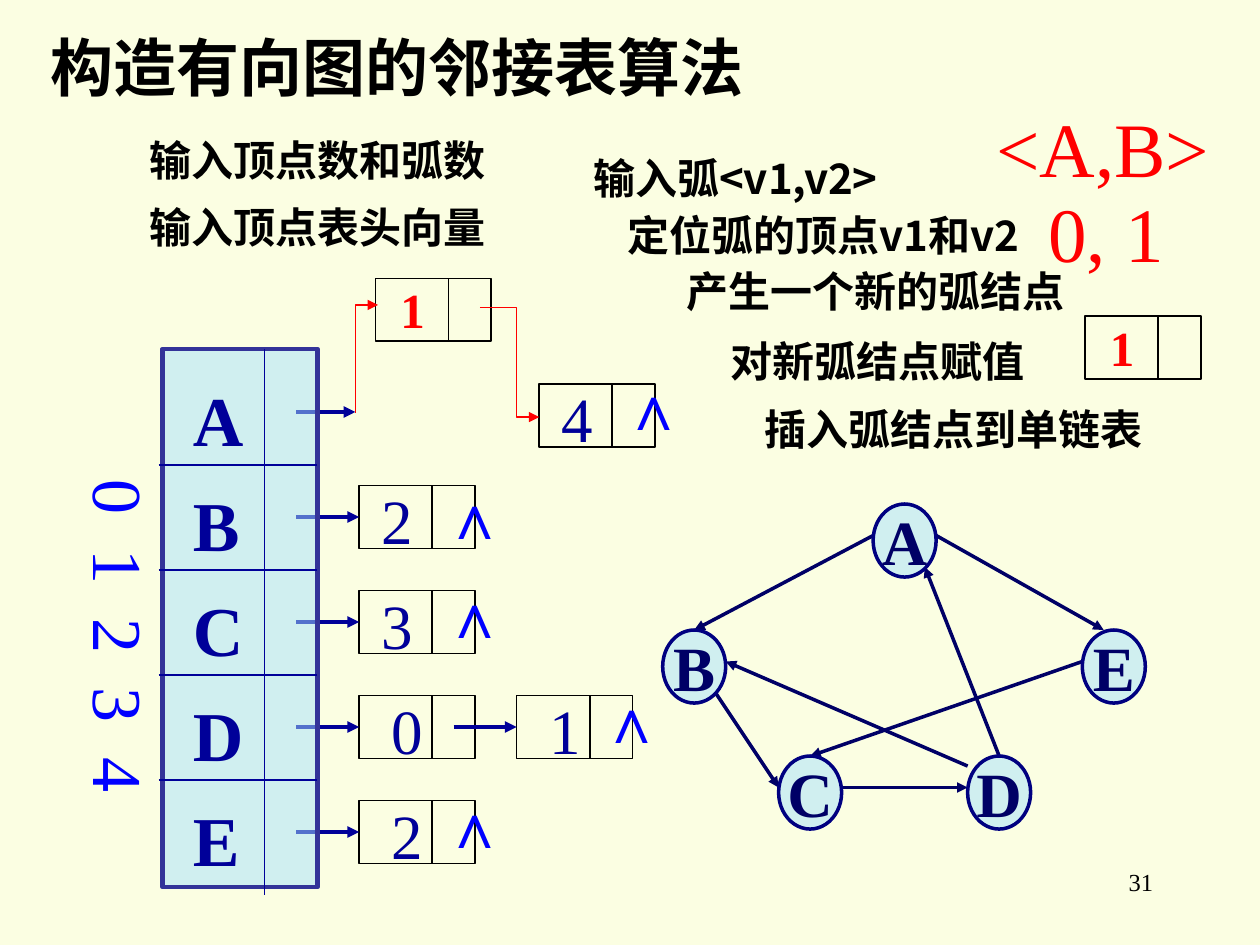
from dataclasses import dataclass

from lxml import etree
from pptx import Presentation
from pptx.dml.color import RGBColor
from pptx.enum.shapes import MSO_CONNECTOR, MSO_SHAPE
from pptx.enum.text import MSO_ANCHOR, MSO_AUTO_SIZE, PP_ALIGN
from pptx.oxml.ns import qn
from pptx.util import Inches, Pt


@dataclass(frozen=True)
class Theme:
    background: str = "FBFEE2"
    tint: str = "A7E2FF"
    black: str = "000000"
    red: str = "FF0000"
    blue: str = "0000FF"
    navy: str = "000099"
    edge: str = "000066"
    vertex_line: str = "000080"
    table_line: str = "333399"
    serif: str = "Times New Roman"
    sans: str = "Arial"
    chinese: str = "Noto Sans CJK SC"
    pair_size: int = 44
    header_size: int = 40
    large_size: int = 36
    new_node_size: int = 28
    step_size: int = 24
    page_size: int = 14


NODE_WIDTH, NODE_HEIGHT, NODE_SPLIT = 0.92, 0.5, 0.58
ROW_PITCH = 5 / 6
FIRST_ROW = 3.27  # height of the pointer that leaves the first row


class SlideBuilder:
    def __init__(self, slide, theme):
        self.slide = slide
        self.shapes = slide.shapes
        self.theme = theme
        slide.background.fill.solid()
        slide.background.fill.fore_color.rgb = RGBColor.from_string(theme.background)

    def add_text_run(self, paragraph, text, size, color, font=None, bold=False):
        run = paragraph.add_run()
        run.text = text
        run.font.size = Pt(size)
        run.font.bold = bold
        run.font.color.rgb = RGBColor.from_string(color)
        run.font.name = font or self.theme.serif
        east_asian = etree.SubElement(run.font._element, qn("a:ea"))
        east_asian.set("typeface", run.font.name)

    def text(self, left, top, width, height, text, size, color,
             font=None, bold=False, wrap=True, align=PP_ALIGN.LEFT):
        box = self.shapes.add_textbox(
            Inches(left), Inches(top), Inches(width), Inches(height))
        frame = box.text_frame
        frame.word_wrap = wrap
        frame.auto_size = MSO_AUTO_SIZE.SHAPE_TO_FIT_TEXT
        paragraph = frame.paragraphs[0]
        paragraph.alignment = align
        self.add_text_run(paragraph, text, size, color, font, bold)
        return box

    def style_line(self, shape, color, width, arrow):
        shape.line.color.rgb = RGBColor.from_string(color)
        shape.line.width = Pt(width)
        if arrow:
            tail = etree.SubElement(shape.line._get_or_add_ln(), qn("a:tailEnd"))
            tail.set("type", "triangle")

    def line(self, start, end, color, width, arrow=False):
        connector = self.shapes.add_connector(
            MSO_CONNECTOR.STRAIGHT, *[Inches(value) for value in (*start, *end)])
        self.style_line(connector, color, width, arrow)
        etree.SubElement(connector._element.spPr, qn("a:effectLst"))
        return connector

    def shape(self, kind, left, top, width, height, color, line_width, tinted=False):
        """Add an outlined shape, either empty or with a half-transparent fill."""
        shape = self.shapes.add_shape(
            kind, Inches(left), Inches(top), Inches(width), Inches(height))
        shape.shadow.inherit = False
        if tinted:
            shape.fill.solid()
            shape.fill.fore_color.rgb = RGBColor.from_string(self.theme.tint)
            tint = shape._element.spPr.find(qn("a:solidFill"))[0]
            etree.SubElement(tint, qn("a:alpha")).set("val", "50000")
        else:
            shape.fill.background()
        self.style_line(shape, color, line_width, False)
        return shape

    def list_node(self, left, top):
        """Add a box split into a value and a pointer field."""
        box = self.shape(MSO_SHAPE.RECTANGLE, left, top, NODE_WIDTH, NODE_HEIGHT,
                         self.theme.black, 1)
        split = left + NODE_SPLIT
        self.line((split, top), (split, top + NODE_HEIGHT), self.theme.black, 1)
        return box

    def value(self, left, top, text):
        self.text(left, top, 0.45, 0.7, text, self.theme.large_size,
                  self.theme.navy, wrap=False)

    def nil(self, left, top):
        self.text(left, top, 0.36, 0.7, "∧", self.theme.large_size,
                  self.theme.blue, self.theme.sans, wrap=False)

    def new_node(self, left, top):
        self.list_node(left, top)
        self.text(left + 0.1, top - 0.04, 0.68, 0.57, "1", self.theme.new_node_size,
                  self.theme.red, bold=True)

    def pointer(self, start, end, node=None):
        arrow = self.line(start, end, self.theme.navy, 2.25, arrow=True)
        if node is not None:
            arrow.end_connect(node, 1)

    def red_arrow(self, points):
        start, *rest = [(Inches(x), Inches(y)) for x, y in points]
        builder = self.shapes.build_freeform(*start)
        builder.add_line_segments(rest, close=False)
        outline = builder.convert_to_shape()
        outline.shadow.inherit = False
        outline.fill.background()
        self.style_line(outline, self.theme.red, 0.75, True)

    def vertex(self, left, top, name):
        oval = self.shape(MSO_SHAPE.OVAL, left, top, 0.5, 0.58,
                          self.theme.vertex_line, 2, tinted=True)
        frame = oval.text_frame
        frame.word_wrap = False
        frame.vertical_anchor = MSO_ANCHOR.MIDDLE
        paragraph = frame.paragraphs[0]
        paragraph.alignment = PP_ALIGN.CENTER
        self.add_text_run(paragraph, name, self.theme.large_size, self.theme.edge,
                          bold=True)

    def index_column(self, left, top, width, height, labels, pitch):
        """Set the labels down one vertical line, spaced by tab stops."""
        box = self.text(left, top, width, height, "\t".join(labels),
                        self.theme.header_size, self.theme.blue)
        frame = box.text_frame
        frame.auto_size = MSO_AUTO_SIZE.NONE
        frame.margin_left = frame.margin_right = Inches(0.05)
        frame.margin_top = frame.margin_bottom = Inches(0.1)
        frame._txBody.bodyPr.set("vert", "eaVert")
        properties = frame.paragraphs[0]._p.get_or_add_pPr()
        tabs = etree.SubElement(properties, qn("a:tabLst"))
        for number in range(1, len(labels)):
            tab = etree.SubElement(tabs, qn("a:tab"))
            tab.set("pos", str(Inches(number * pitch)))
            tab.set("algn", "l")

    def header_table(self, names):
        box = self.shape(MSO_SHAPE.RECTANGLE, 1.29, 2.77, 1.23, 4.27,
                         self.theme.table_line, 2.75, tinted=True)
        frame = box.text_frame
        frame.margin_left = Inches(0.24)
        frame.vertical_anchor = MSO_ANCHOR.TOP
        for number, name in enumerate(names):
            paragraph = frame.add_paragraph() if number else frame.paragraphs[0]
            paragraph.alignment = PP_ALIGN.LEFT
            paragraph.line_spacing = 1.25
            self.add_text_run(paragraph, name, self.theme.header_size,
                              self.theme.navy, bold=True)
        self.line((2.1, 2.77), (2.1, 7.1), self.theme.navy, 1)
        for row in range(len(names) - 1):
            y = 3.69 + row * ROW_PITCH
            self.line((1.26, y), (2.52, y), self.theme.navy, 1)


def draw_graph(builder):
    edges = [
        ((6.93, 4.25), (5.51, 5)), ((5.68, 5.5), (6.18, 6.25)),
        ((6.68, 6.25), (7.68, 6.25)), ((7.93, 6), (7.34, 4.5)),
        ((7.43, 4.25), (8.76, 5)), ((7.68, 6.08), (5.76, 5.25)),
        ((8.59, 5.25), (6.43, 6)),
    ]
    for start, end in edges:
        builder.line(start, end, builder.theme.edge, 2, arrow=True)
    vertices = {"A": (6.93, 4), "B": (5.26, 5), "E": (8.59, 5),
                "C": (6.18, 6), "D": (7.68, 6)}
    for name, (left, top) in vertices.items():
        builder.vertex(left, top, name)


def draw_adjacency_list(builder):
    builder.index_column(0.49, 3.71, 0.86, 2.7, "01234", 0.55)
    builder.pointer((2.35, FIRST_ROW), (2.82, FIRST_ROW))
    # row, left, pointer start, value, value indent, nil rise (None: has a successor)
    nodes = [
        (1, 2.85, 2.35, "2", 0.08, 0.12), (2, 2.85, 2.35, "3", 0.08, 0.17),
        (3, 2.85, 2.35, "0", 0.16, None), (3, 4.1, 3.6, "1", 0.16, 0.17),
        (4, 2.85, 2.35, "2", 0.16, 0.17),
    ]
    for row, left, pointer_start, text, indent, nil_rise in nodes:
        y = FIRST_ROW + row * ROW_PITCH
        top = y - NODE_HEIGHT / 2
        node = builder.list_node(left, top)
        builder.value(left + indent, top - 0.08, text)
        builder.pointer((pointer_start, y), (left, y), node)
        if nil_rise is not None:
            builder.nil(left + 0.57, top - nil_rise)
    builder.header_table("ABCDE")

    builder.new_node(2.98, 2.21)
    builder.list_node(4.28, 3.05)
    builder.value(4.36, 2.96, "4")
    builder.nil(4.84, 2.87)
    builder.red_arrow([(2.82, 3.28), (2.82, 2.42), (3, 2.42)])
    builder.red_arrow([(3.81, 2.44), (4.1, 2.44), (4.1, 3.31), (4.28, 3.31)])


def draw_steps(builder):
    theme = builder.theme
    steps = [
        (1.09, 1.02, 3.33, "输入顶点数和弧数"), (1.09, 1.55, 3.33, "输入顶点表头向量"),
        (4.61, 1.16, 2.64, "输入弧<v1,v2>"), (4.88, 1.61, 3.97, "定位弧的顶点v1和v2"),
        (5.35, 2.06, 3.33, "产生一个新的弧结点"), (5.7, 2.61, 3.33, "对新弧结点赋值"),
        (5.97, 3.15, 3.33, "插入弧结点到单链表"),
    ]
    for left, top, width, text in steps:
        builder.text(left, top, width, 0.5, text, theme.step_size, theme.black,
                     theme.chinese, bold=True)
    builder.text(7.81, 0.75, 2.38, 0.84, "<A,B>", theme.pair_size, theme.red)
    builder.text(8.22, 1.42, 1.43, 0.84, "0, 1", theme.pair_size, theme.red)
    builder.new_node(8.61, 2.51)


def main():
    presentation = Presentation()
    presentation.slide_width = Inches(10)
    presentation.slide_height = Inches(7.5)
    theme = Theme()
    builder = SlideBuilder(
        presentation.slides.add_slide(presentation.slide_layouts[6]), theme)
    title = builder.text(0.3, 0, 8.48, 0.88, "构造有向图的邻接表算法",
                         theme.large_size, theme.black, theme.chinese, bold=True)
    title.text_frame.paragraphs[0].line_spacing = 1.3
    draw_graph(builder)
    draw_adjacency_list(builder)
    draw_steps(builder)
    builder.text(7.17, 6.83, 2.08, 0.5, "31", theme.page_size, theme.black,
                 align=PP_ALIGN.RIGHT)
    presentation.save("out.pptx")


if __name__ == "__main__":
    main()
